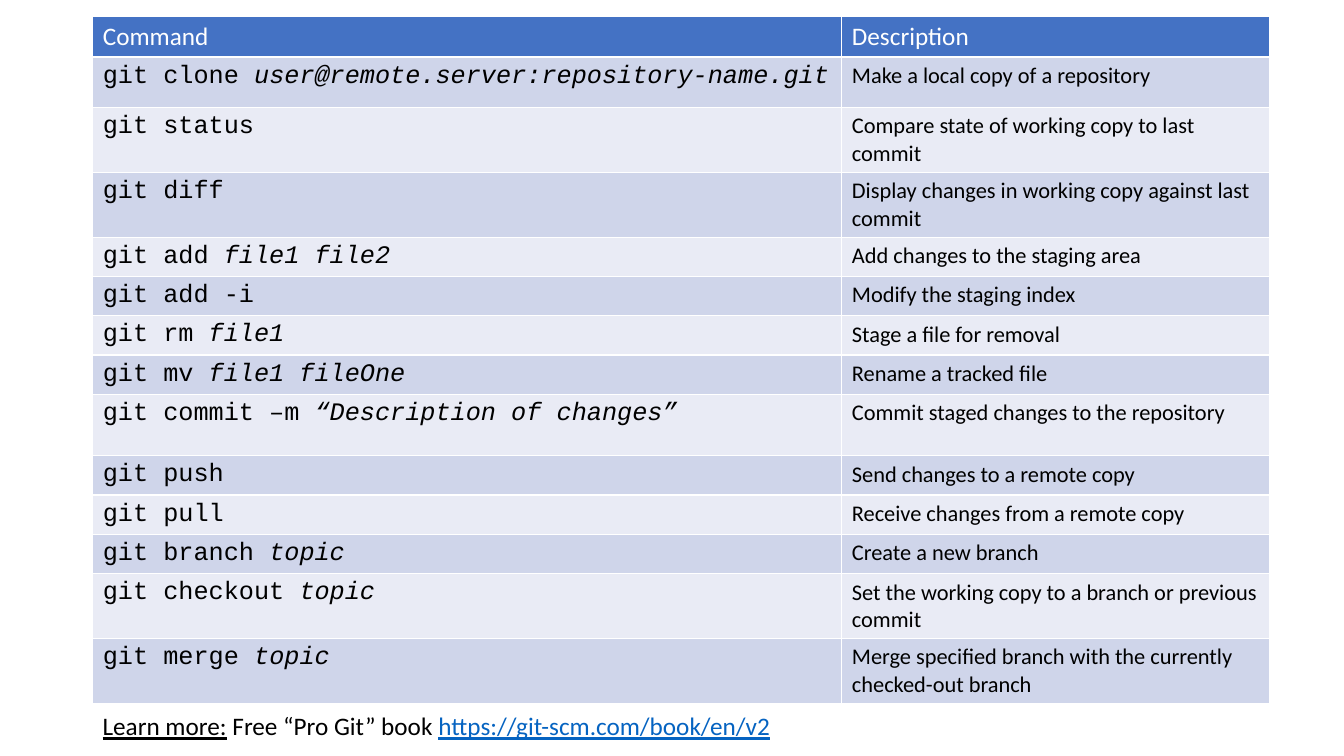
from pptx import Presentation
from pptx.dml.color import RGBColor
from pptx.enum.text import MSO_AUTO_SIZE as AutoSize
from pptx.util import Inches, Pt

WHITE = RGBColor(0xFF, 0xFF, 0xFF)
BLACK = RGBColor(0x00, 0x00, 0x00)
HEADER_BLUE = RGBColor(0x44, 0x72, 0xC4)
BAND_DARK = RGBColor(0xCF, 0xD5, 0xEA)
BAND_LIGHT = RGBColor(0xE9, 0xEB, 0xF5)
LINK_BLUE = RGBColor(0x05, 0x63, 0xC1)

HEADER = {"name": "Calibri", "size": Pt(18), "bold": False, "color": WHITE}
COMMAND = {"name": "Courier New", "size": Pt(18), "color": BLACK}
ARGUMENT = COMMAND | {"italic": True}
DESCRIPTION = {"name": "Calibri", "size": Pt(16), "color": BLACK}
NOTE = DESCRIPTION | {"size": Pt(18)}
NOTE_LABEL = NOTE | {"underline": True}
NOTE_LINK = NOTE_LABEL | {"color": LINK_BLUE}

SINGLE, MEDIUM, DOUBLE = 0.39, 0.5, 0.61
COLUMN_SHARES = (7.43 / 11.67, 4.24 / 11.67)
COMMANDS = [
    ("git clone ", "user@remote.server:repository-name.git", "Make a local copy of a repository", MEDIUM),
    ("git status", "", "Compare state of working copy to last commit", DOUBLE),
    ("git diff", "", "Display changes in working copy against last commit", DOUBLE),
    ("git add ", "file1 file2", "Add changes to the staging area", SINGLE),
    ("git add -i", "", "Modify the staging index", SINGLE),
    ("git rm ", "file1", "Stage a file for removal", SINGLE),
    ("git mv ", "file1 fileOne", "Rename a tracked file", SINGLE),
    ("git commit –m ", "“Description of changes”", "Commit staged changes to the repository", DOUBLE),
    ("git push", "", "Send changes to a remote copy", SINGLE),
    ("git pull", "", "Receive changes from a remote copy", SINGLE),
    ("git branch ", "topic", "Create a new branch", SINGLE),
    ("git checkout ", "topic", "Set the working copy to a branch or previous commit", DOUBLE),
    ("git merge ", "topic", "Merge specified branch with the currently checked-out branch", DOUBLE),
]


def write_spans(para, spans):
    """Add each non-empty (text, format) pair to the paragraph."""
    for text, look in spans:
        if not text:
            continue
        span = para.add_run()
        span.text = text
        for key, value in look.items():
            if key == "color":
                span.font.color.rgb = value
            else:
                setattr(span.font, key, value)


def add_command_table(page, left, top, width):
    """Place the banded command table in the given box."""
    rows = [([("Command", HEADER)], [("Description", HEADER)], SINGLE)]
    rows += [
        ([(command, COMMAND), (argument, ARGUMENT)], [(description, DESCRIPTION)], height)
        for command, argument, description, height in COMMANDS
    ]
    total = Inches(sum(height for *_, height in rows))
    table = page.shapes.add_table(len(rows), len(COLUMN_SHARES), left, top, width, total).table
    for column, share in zip(table.columns, COLUMN_SHARES):
        column.width = int(width * share)
    for index, (*contents, height) in enumerate(rows):
        table.rows[index].height = Inches(height)
        band = BAND_DARK if index % 2 else BAND_LIGHT
        for cell, spans in zip(table.rows[index].cells, contents):
            cell.fill.solid()
            cell.fill.fore_color.rgb = band if index else HEADER_BLUE
            write_spans(cell.text_frame.paragraphs[0], spans)


def add_further_reading(page, left, top, width, height):
    """Place the one-line reading tip in the given box."""
    frame = page.shapes.add_textbox(left, top, width, height).text_frame
    for key, value in {"word_wrap": False, "auto_size": AutoSize.SHAPE_TO_FIT_TEXT}.items():
        setattr(frame, key, value)
    write_spans(frame.paragraphs[0], [
        ("Learn more:", NOTE_LABEL),
        (" Free “Pro Git” book ", NOTE),
        ("https://git-scm.com/book/en/v2", NOTE_LINK),
    ])


def main():
    """Build the command overview slide and save it."""
    deck = Presentation()
    deck.slide_width, deck.slide_height = Inches(13.33), Inches(7.5)
    page = deck.slides.add_slide(deck.slide_layouts[6])
    margin = Inches(0.92)
    add_command_table(page, margin, Inches(0.16), Inches(11.67))
    add_further_reading(page, margin, Inches(7), Inches(6.9), Inches(0.4))
    deck.save("out.pptx")


if __name__ == "__main__":
    main()
